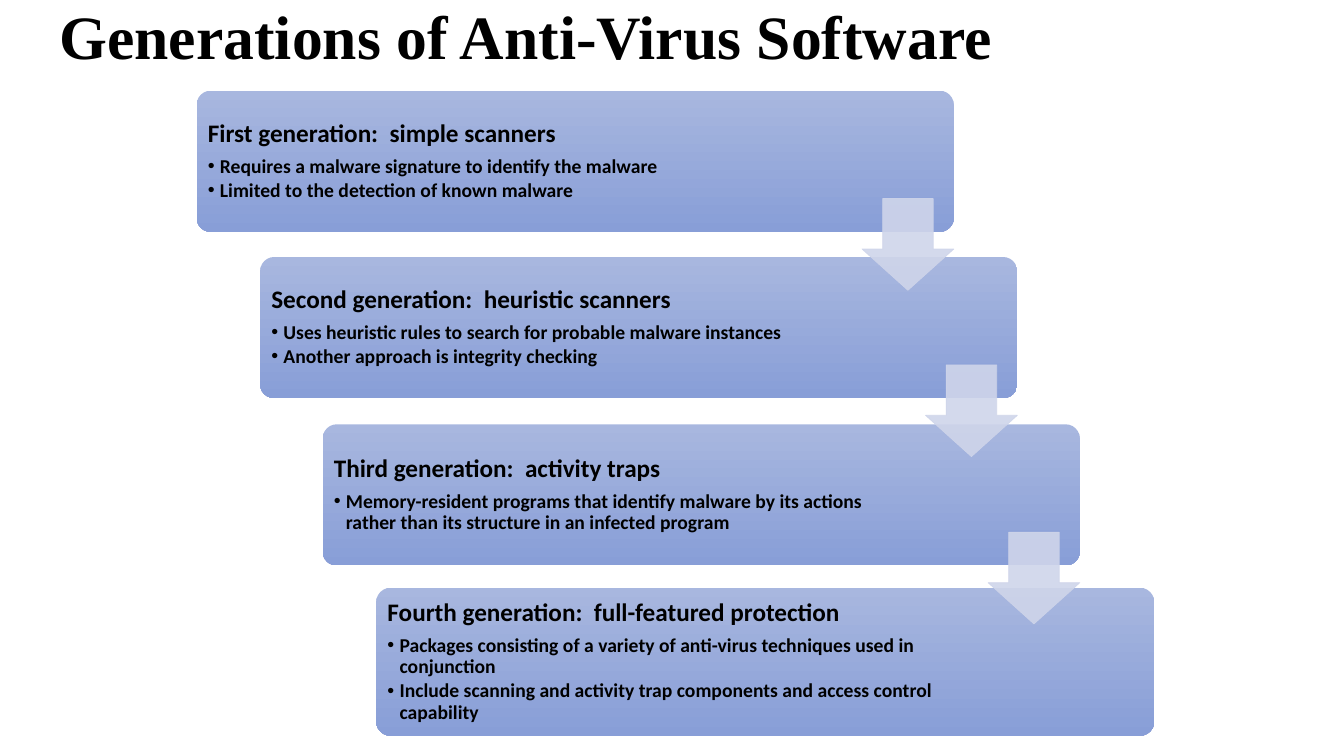
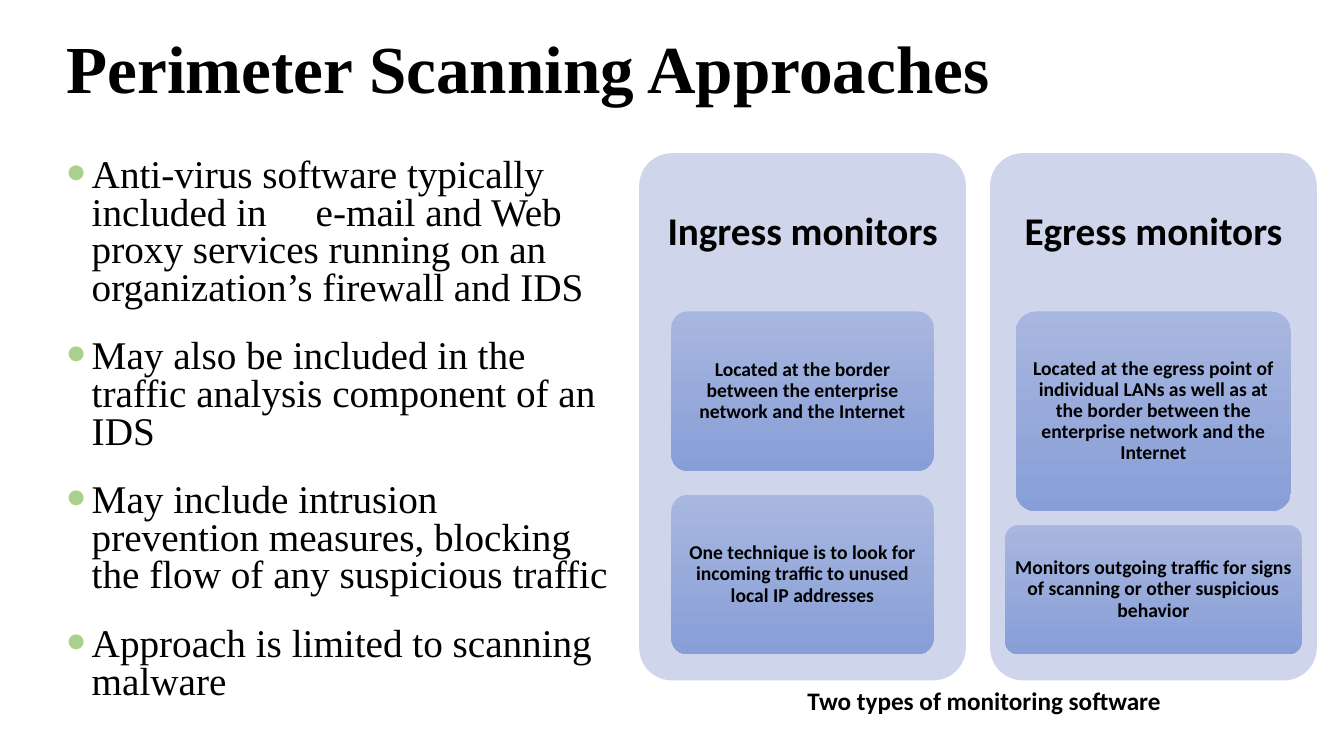
from lxml import etree
from pptx import Presentation
from pptx.dml.color import RGBColor
from pptx.enum.shapes import MSO_SHAPE
from pptx.enum.text import MSO_ANCHOR, MSO_AUTO_SIZE, PP_ALIGN
from pptx.oxml.ns import qn
from pptx.util import Emu, Pt

EMU_PER_PX = 9144
ROUNDED, ARROW = MSO_SHAPE.ROUNDED_RECTANGLE, MSO_SHAPE.DOWN_ARROW
TOP, MIDDLE = MSO_ANCHOR.TOP, MSO_ANCHOR.MIDDLE
LEFT, CENTER = PP_ALIGN.LEFT, PP_ALIGN.CENTER
NO_AUTOFIT = MSO_AUTO_SIZE.NONE
TITLE_AND_CONTENT, TITLE_ONLY = 1, 5

SERIF, SANS = "Times New Roman", "Calibri"
BLACK, PALE, BULLET_GREEN = "000000", "CFD5EA", "A9D18E"
GRADIENT = ("A8B7DF", "889ED7")

ARROW_SIZE, ARROW_DROP = 91, 107
PANEL_TOP, PANEL_WIDTH, PANEL_HEIGHT, HEADING_HEIGHT = 152, 324, 523, 157

GENERATIONS = [
    ((195, 90, 751, 140), "First generation:  simple scanners",
     ["Requires a malware signature to identify the malware",
      "Limited to the detection of known malware"]),
    ((258, 255, 751, 140), "Second generation:  heuristic scanners",
     ["Uses heuristic rules to search for probable malware instances",
      "Another approach is integrity checking"]),
    ((320, 421, 751, 140), "Third generation:  activity traps",
     ["Memory-resident programs that identify malware by its actions "
      "rather than its structure in an infected program"]),
    ((373, 583, 772, 147), "Fourth generation:  full-featured protection",
     ["Packages consisting of a variety of anti-virus techniques used in conjunction",
      "Include scanning and activity trap components and access control capability"]),
]

APPROACHES = [
    "Anti-virus software typically included in     e-mail and Web proxy services "
    "running on an organization’s firewall and IDS",
    "May also be included in the traffic analysis component of an IDS",
    "May include intrusion prevention measures, blocking the flow of any suspicious traffic",
    "Approach is limited to scanning malware",
]

MONITORS = [
    (634, "Ingress monitors", [
        (309, 260, 158, "Located at the border between the enterprise network and the Internet"),
        (491, 260, 158, "One technique is to look for incoming traffic to unused local IP addresses"),
    ]),
    (982, "Egress monitors", [
        (309, 273, 198, "Located at the egress point of individual LANs as well as at the border "
                        "between the enterprise network and the Internet"),
        (521, 294, 128, "Monitors outgoing traffic for signs of scanning or other suspicious behavior"),
    ]),
]


def px(length):
    """Turn whole pixels into EMU."""
    return Emu(int(length * EMU_PER_PX))


def rgb(color):
    """Turn a hex string into a colour."""
    return RGBColor.from_string(color)


def place(shape, box):
    """Move and size a shape."""
    shape.left, shape.top, shape.width, shape.height = map(px, box)


def prepare_frame(shape, anchor=MIDDLE, margins=(10, 5, 10, 5)):
    """Set wrapping, anchor and margins of a shape's text frame."""
    frame = shape.text_frame
    frame.word_wrap = True
    frame.auto_size = NO_AUTOFIT
    frame.vertical_anchor = anchor
    (frame.margin_left, frame.margin_top,
     frame.margin_right, frame.margin_bottom) = map(px, margins)
    return frame


def add_bullet(paragraph, indent, color, percent):
    """Give a paragraph a hanging round bullet."""
    properties = paragraph._p.get_or_add_pPr()
    properties.set("marL", str(px(indent)))
    properties.set("indent", str(-px(indent)))
    bullet_color = etree.SubElement(properties, qn("a:buClr"))
    etree.SubElement(bullet_color, qn("a:srgbClr"), val=color)
    etree.SubElement(properties, qn("a:buSzPct"), val=str(percent * 1000))
    etree.SubElement(properties, qn("a:buFont"), typeface="Arial")
    etree.SubElement(properties, qn("a:buChar"), char="•")


def add_text(frame, text, size=14, font=SANS, bold=True, align=LEFT,
             spacing=0.9, before=0, after=0, bullet=None):
    """Add a formatted paragraph, filling the first one when it is empty."""
    first = frame.paragraphs[0]
    paragraph = frame.add_paragraph() if first.runs else first
    if bullet:
        add_bullet(paragraph, *bullet)
    paragraph.alignment = align
    paragraph.line_spacing = spacing
    paragraph.space_before, paragraph.space_after = Pt(before), Pt(after)
    run = paragraph.add_run()
    run.text = text
    run.font.size, run.font.name, run.font.bold = Pt(size), font, bold
    run.font.color.rgb = rgb(BLACK)


def add_title(slide, text, box, size):
    """Fill the title placeholder."""
    place(slide.shapes.title, box)
    add_text(prepare_frame(slide.shapes.title), text, size=size, font=SERIF)


def add_text_box(slide, text, box, anchor=MIDDLE, **text_format):
    """Add a text box holding one paragraph."""
    shape = slide.shapes.add_textbox(*map(px, box))
    add_text(prepare_frame(shape, anchor), text, **text_format)


def add_shape(slide, kind, box, *adjustments):
    """Add a preset shape without shadow or outline."""
    shape = slide.shapes.add_shape(kind, *map(px, box))
    shape.shadow.inherit = False
    shape.line.fill.background()
    for index, value in enumerate(adjustments):
        shape.adjustments[index] = value
    return shape


def add_gradient_box(slide, box, margins):
    """Add a rounded gradient box and return its text frame."""
    shape = add_shape(slide, ROUNDED, box, 0.1)
    shape.fill.gradient()
    shape.fill.gradient_angle = 270
    for stop, color in zip(shape.fill.gradient_stops, GRADIENT):
        stop.color.rgb = rgb(color)
    return prepare_frame(shape, margins=margins)


def add_arrow(slide, box):
    """Add a translucent down arrow."""
    shape = add_shape(slide, ARROW, box, 0.55, 0.45)
    shape.line.width = Pt(0.5)
    for fill in (shape.fill, shape.line.fill):
        fill.solid()
        fill.fore_color.rgb = rgb(PALE)
    for color in shape._element.spPr.iter(qn("a:srgbClr")):
        etree.SubElement(color, qn("a:alpha"), val="90000")


def add_generation(slide, box, heading, points):
    """Add a step with a heading and its bullets."""
    frame = add_gradient_box(slide, box, (7, 7, 160, 7))
    add_text(frame, heading, size=18)
    for index, point in enumerate(points):
        add_text(frame, point, before=2 if index else 6, bullet=(12, BLACK, 100))


def add_monitor(slide, left, heading, details):
    """Add a panel with a heading and centred detail boxes."""
    panel = add_shape(slide, ROUNDED, (left, PANEL_TOP, PANEL_WIDTH, PANEL_HEIGHT), 0.1)
    panel.fill.solid()
    panel.fill.fore_color.rgb = rgb(PALE)
    add_text_box(slide, heading, (left, PANEL_TOP, PANEL_WIDTH, HEADING_HEIGHT),
                 size=28, align=CENTER)
    for top, width, height, text in details:
        box = (left + (PANEL_WIDTH - width) / 2, top, width, height)
        add_text(add_gradient_box(slide, box, (4, 3, 4, 3)), text, align=CENTER)


def build_generations(presentation):
    """Build the slide of descending generations."""
    slide = presentation.slides.add_slide(presentation.slide_layouts[TITLE_ONLY])
    add_title(slide, "Generations of Anti-Virus Software", (49, 0, 1115, 79), 44)
    for generation in GENERATIONS:
        add_generation(slide, *generation)
    for (left, top, width, _), _, _ in GENERATIONS[:-1]:
        add_arrow(slide, (left + width - ARROW_SIZE, top + ARROW_DROP, ARROW_SIZE, ARROW_SIZE))


def build_approaches(presentation):
    """Build the slide of scanning approaches and monitor types."""
    slide = presentation.slides.add_slide(presentation.slide_layouts[TITLE_AND_CONTENT])
    add_title(slide, "Perimeter Scanning Approaches", (56, 30, 1215, 82), 48)
    body = slide.placeholders[1]
    place(body, (56, 152, 561, 564))
    frame = prepare_frame(body, TOP)
    for index, approach in enumerate(APPROACHES):
        add_text(frame, approach, size=28, font=SERIF, bold=False, spacing=0.8,
                 before=10 if index else 0, after=12, bullet=(25, BULLET_GREEN, 140))
    for monitor in MONITORS:
        add_monitor(slide, *monitor)
    add_text_box(slide, "Two types of monitoring software", (791, 675, 517, 71),
                 anchor=TOP, size=18, spacing=1.0)


def main():
    """Build and save the presentation."""
    presentation = Presentation()
    presentation.slide_width, presentation.slide_height = px(1333), px(750)
    build_generations(presentation)
    build_approaches(presentation)
    presentation.save("out.pptx")


if __name__ == "__main__":
    main()
